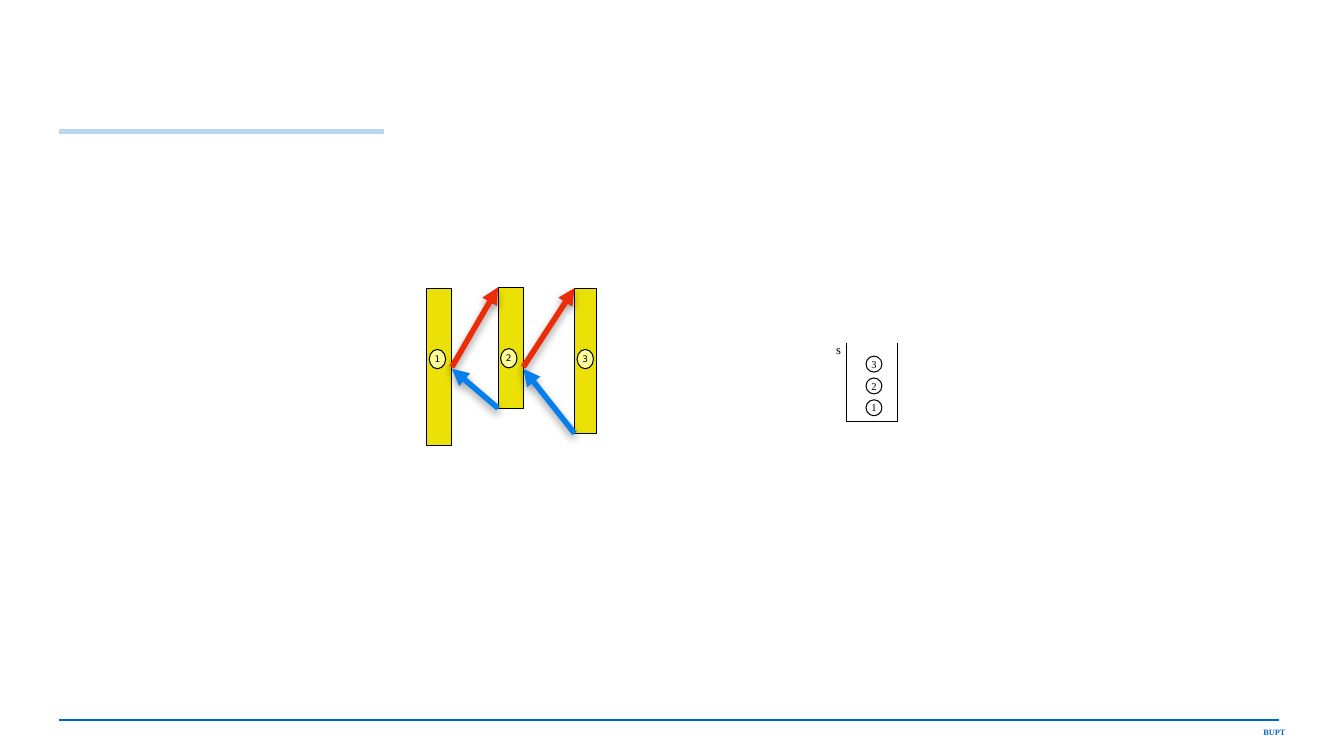
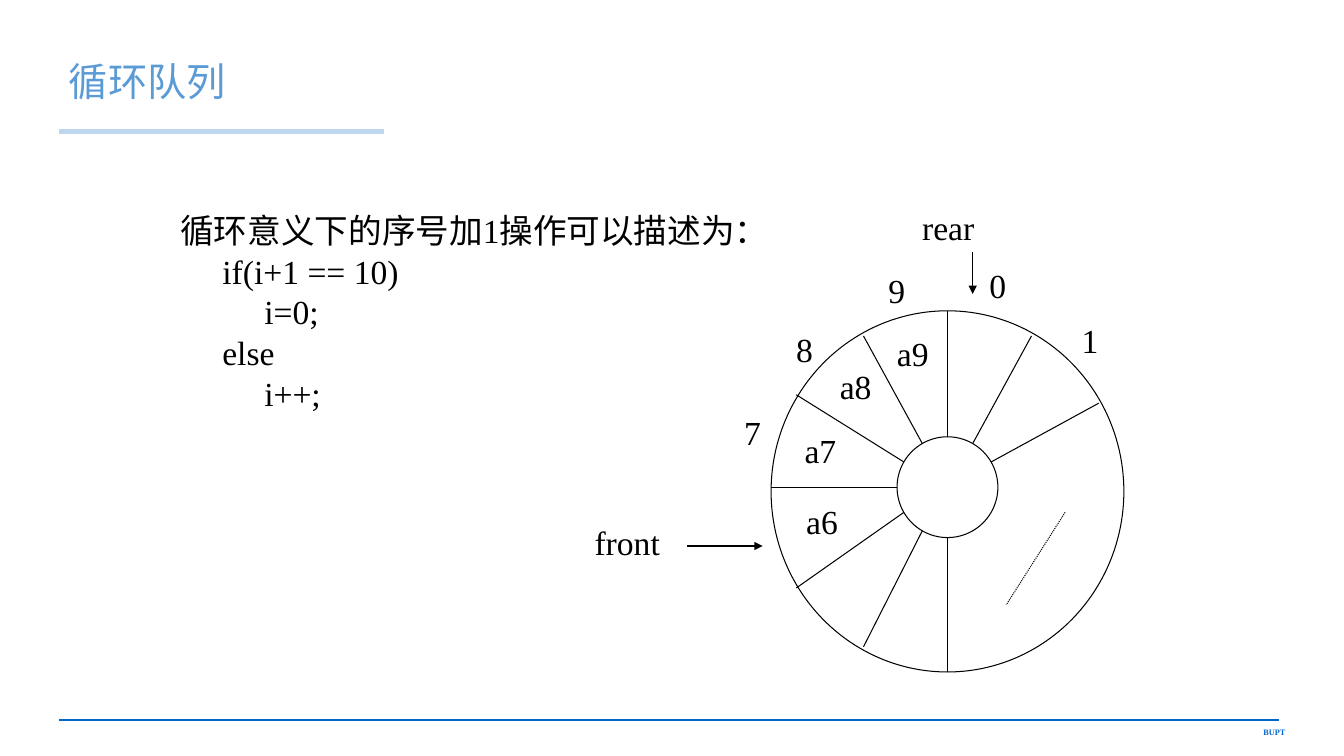
from dataclasses import dataclass
from math import cos, radians, sin

from lxml import etree
from pptx import Presentation
from pptx.dml.color import RGBColor
from pptx.enum.dml import MSO_LINE
from pptx.enum.shapes import MSO_CONNECTOR, MSO_SHAPE
from pptx.enum.text import MSO_ANCHOR, PP_ALIGN
from pptx.oxml import parse_xml
from pptx.oxml.ns import nsdecls, qn
from pptx.util import Emu, Inches, Pt

# The slide is a grid of 160 columns by 90 rows
CELL = Inches(7.5) / 90

BLACK = RGBColor(0x00, 0x00, 0x00)
FOOTER_BLUE = RGBColor(0x00, 0x66, 0xCC)
RULE_BLUE = RGBColor(0xBD, 0xD7, 0xEE)
TITLE_BLUE = RGBColor(0x5B, 0x9B, 0xD5)
BAR_YELLOW = RGBColor(0xEC, 0xE1, 0x06)
BADGE_YELLOW = RGBColor(0xFF, 0xFF, 0x99)
CALL_RED = RGBColor(0xEC, 0x2C, 0x06)
RETURN_BLUE = RGBColor(0x06, 0x7E, 0xEC)

SERIF, SANS, CJK = "Times New Roman", "DejaVu Sans", "Noto Sans CJK SC"

SHADOW = (
    f'<a:effectLst {nsdecls("a")}><a:outerShdw blurRad="76200" dist="38100" dir="5400000">'
    '<a:srgbClr val="000000"><a:alpha val="38000"/></a:srgbClr></a:outerShdw></a:effectLst>'
)


def cells(*counts):
    return [Emu(round(count * CELL)) for count in counts]


@dataclass
class Box:
    left: float
    top: float
    width: float
    height: float

    @property
    def right(self):
        return self.left + self.width

    @property
    def bottom(self):
        return self.top + self.height

    def inner(self, x, y, width, height):
        return Box(self.left + x, self.top + y, width, height)

    def point(self, x, y):
        return self.left + x, self.top + y

    def place(self):
        return cells(self.left, self.top, self.width, self.height)


def style_text(frame, text, size, color=BLACK, font=SERIF, bold=False, align=PP_ALIGN.LEFT):
    frame.text = text
    for paragraph in frame.paragraphs:
        paragraph.alignment = align
        for run in paragraph.runs:
            run.font.size = Pt(size)
            run.font.bold = bold
            run.font.color.rgb = color
            run.font.name = font
            etree.SubElement(run.font._element, qn("a:ea"), typeface=CJK)


def add_label(slide, box, text, size=24, inset=0.1, **style):
    frame = slide.shapes.add_textbox(*box.place()).text_frame
    frame.word_wrap = False
    frame.margin_left = frame.margin_right = Inches(inset)
    style_text(frame, text, size, **style)
    return frame


def add_outline(slide, kind, box, fill=None):
    shape = slide.shapes.add_shape(kind, *box.place())
    shape.shadow.inherit = False
    if fill is None:
        shape.fill.background()
    else:
        shape.fill.solid()
        shape.fill.fore_color.rgb = fill
    shape.line.color.rgb = BLACK
    shape.line.width = Pt(0.75)
    return shape


def add_badge(slide, box, text, size, font, fill=None):
    frame = add_outline(slide, MSO_SHAPE.OVAL, box, fill).text_frame
    frame.word_wrap = False
    frame.margin_left = frame.margin_right = frame.margin_top = frame.margin_bottom = 0
    frame.vertical_anchor = MSO_ANCHOR.MIDDLE
    style_text(frame, text, size, font=font, align=PP_ALIGN.CENTER)


def add_line(slide, start, end, color=BLACK, width=0.75, arrow=False, dash=None, shadow=False):
    line = slide.shapes.add_connector(MSO_CONNECTOR.STRAIGHT, *cells(*start, *end))
    line.line.color.rgb = color
    line.line.width = Pt(width)
    if dash:
        line.line.dash_style = dash
    properties = line._element.spPr
    if arrow:
        etree.SubElement(properties.find(qn("a:ln")), qn("a:tailEnd"), type="triangle")
    if shadow:
        properties.append(parse_xml(SHADOW))
    else:
        etree.SubElement(properties, qn("a:effectLst"))


def new_slide(deck, title=None):
    slide = deck.slides.add_slide(deck.slide_layouts[5 if title else 6])
    # Footer rule, footer text and title rule
    add_line(slide, (7, 85.7), (152.3, 85.7), FOOTER_BLUE, 1.5)
    add_label(slide, Box(138, 86, 16.2, 2.4), "BUPT", 5.9,
              color=FOOTER_BLUE, bold=True, align=PP_ALIGN.RIGHT)
    add_line(slide, (7, 15.7), (45.7, 15.7), RULE_BLUE, 3.5)
    if title:
        heading = slide.shapes.title
        heading.left, heading.top, heading.width, heading.height = cells(7, 4.3, 135.5, 11.3)
        frame = heading.text_frame
        frame.vertical_anchor = MSO_ANCHOR.MIDDLE
        style_text(frame, title, 28, TITLE_BLUE, CJK)
        frame.paragraphs[0].line_spacing = 0.9
    return slide


def draw_stack(slide, box):
    # Open container
    corners = [(box.left, box.top), (box.left, box.bottom),
               (box.right, box.bottom), (box.right, box.top)]
    for start, end in zip(corners, corners[1:]):
        add_line(slide, start, end)
    add_label(slide, box.inner(-1.6, -0.7, 1.4, 3), "s", 9, inset=0.03)
    # Entries, last pushed on top
    for row, entry in enumerate("321"):
        add_badge(slide, box.inner(2.3, 1.6 + 2.6 * row, 1.9, 1.9), entry, 7.5, SERIF)


def draw_calls(slide, box):
    bars = [box.inner(0, 0.1, 3, 18.7), box.inner(8.5, 0, 3, 14.4),
            box.inner(17.6, 0.1, 2.6, 17.3)]
    for number, bar in enumerate(bars, 1):
        add_outline(slide, MSO_SHAPE.RECTANGLE, bar, BAR_YELLOW)
        add_badge(slide, bar.inner(0.3, 7.3, 1.95, 2.3), str(number), 6.4, SANS, BADGE_YELLOW)
    # Call to the next bar, return from its foot
    for caller, called in zip(bars, bars[1:]):
        add_line(slide, (caller.right, box.top + 9.5), (called.left, called.top),
                 CALL_RED, 4, arrow=True, shadow=True)
        add_line(slide, (called.left, called.bottom), (caller.right, box.top + 9.7),
                 RETURN_BLUE, 4, arrow=True, shadow=True)


def draw_code(slide, box):
    frame = add_label(slide, box, "\n".join([
        "循环意义下的序号加1操作可以描述为：",
        "     if(i+1 == 10)",
        "          i=0;",
        "     else",
        "          i++;",
    ]))
    for paragraph in frame.paragraphs:
        paragraph.line_spacing = Pt(29)


def draw_ring(slide, box):
    hub_x, hub_y, hub_radius = 21, 21, 6
    add_outline(slide, MSO_SHAPE.OVAL, box)
    add_outline(slide, MSO_SHAPE.OVAL, box.inner(
        hub_x - hub_radius, hub_y - hub_radius, 2 * hub_radius, 2 * hub_radius))
    # Dividers: clockwise angle from the top and outer end
    rim_ends = {0: (21, 0), 30: (31, 3), 60: (39, 11), 180: (21, 43), 210: (11, 40),
                240: (3, 33), 270: (0, 21), 300: (3, 10), 330: (11, 3)}
    for degrees, rim_end in rim_ends.items():
        angle = radians(degrees)
        hub_end = hub_x + hub_radius * sin(angle), hub_y - hub_radius * cos(angle)
        add_line(slide, box.point(*hub_end), box.point(*rim_end))
    add_line(slide, box.point(35, 24), box.point(28, 35), dash=MSO_LINE.ROUND_DOT)
    # Stored elements and slot numbers
    labels = {"a6": (3, 22), "a7": (2.8, 13.6), "a8": (7, 6), "a9": (13.8, 2),
              "0": (24.8, -6), "9": (12.8, -5.5), "8": (1.8, 1.6),
              "7": (-4.4, 11.5), "1": (35.8, 0.5)}
    for text, (x, y) in labels.items():
        add_label(slide, box.inner(x, y, 2.4 + 1.9 * len(text), 6), text)
    # Queue ends
    add_label(slide, box.inner(-22.2, 24.5, 10.2, 6), "front")
    add_line(slide, box.point(-10, 28), box.point(-1, 28), arrow=True)
    add_label(slide, box.inner(16.8, -13, 8.6, 6), "rear")
    add_line(slide, box.point(24, -7), box.point(24, -2), arrow=True)


def main():
    deck = Presentation()
    deck.slide_width, deck.slide_height = cells(160, 90)

    recursion = new_slide(deck)
    draw_stack(recursion, Box(100.8, 40.8, 6, 9.4))
    draw_calls(recursion, Box(50.8, 34.2, 20.2, 18.8))

    queue = new_slide(deck, "循环队列")
    draw_ring(queue, Box(91.8, 37, 42, 43))
    draw_code(queue, Box(20.3, 24.4, 75.1, 25.4))

    deck.save("out.pptx")


if __name__ == "__main__":
    main()
